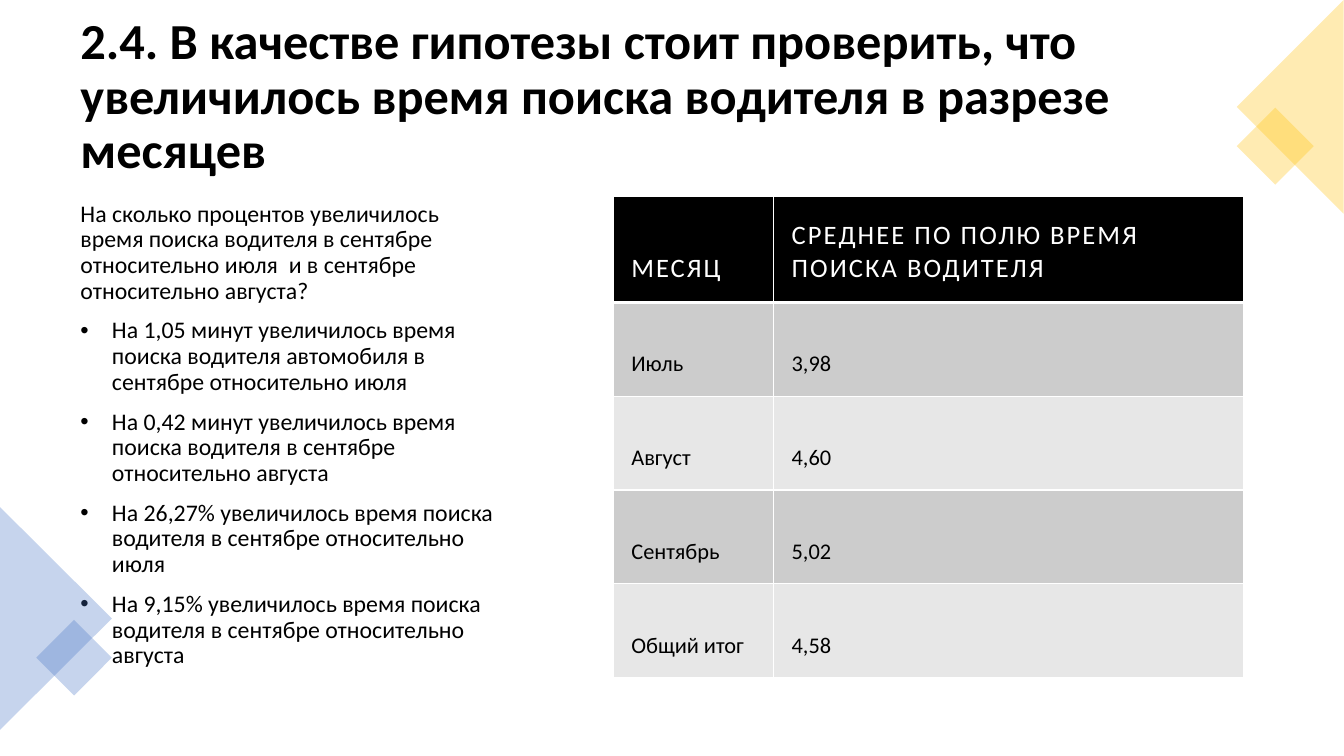
from dataclasses import dataclass
from lxml import etree
from pptx import Presentation
from pptx.dml.color import RGBColor
from pptx.enum.shapes import MSO_SHAPE
from pptx.enum.text import MSO_ANCHOR
from pptx.oxml.ns import qn
from pptx.util import Pt

TRI, RECT = MSO_SHAPE.ISOSCELES_TRIANGLE, MSO_SHAPE.RECTANGLE
TOP, MID, LOW = MSO_ANCHOR.TOP, MSO_ANCHOR.MIDDLE, MSO_ANCHOR.BOTTOM


@dataclass(frozen=True)
class Theme:
    font: str = "Calibri"
    ink: str = "000000"
    paper: str = "FFFFFF"
    blue: str = "4472C4"
    gold: str = "FFC000"
    bands: tuple = ("CCCCCC", "E7E7E7")
    title: float = 36
    body: float = 17
    head: float = 19
    cell: float = 16


class Deck:
    def __init__(self, theme):
        self.theme = theme
        self.prs = Presentation()
        self.prs.slide_width, self.prs.slide_height = Pt(960), Pt(540)
        self.slide = self.prs.slides.add_slide(self.prs.slide_layouts[6])

    def style(self, item, form):
        for name, value in form.items():
            setattr(item, name, value)

    def label(self, par, text, size, color, bold=False):
        run = par.add_run()
        run.text = text
        form = {"name": self.theme.font, "size": Pt(size), "bold": bold}
        self.style(run.font, form)
        run.font.color.rgb = RGBColor.from_string(color)
        return run

    def text(self, box, lines, size, anchor=TOP, bold=False):
        """Place paragraphs given as (text, has bullet) pairs."""
        frame = self.slide.shapes.add_textbox(*map(Pt, box)).text_frame
        self.style(frame, {"word_wrap": True, "vertical_anchor": anchor})
        for i, (line, dot) in enumerate(lines):
            par = frame.add_paragraph() if i else frame.paragraphs[0]
            gap = Pt(10 if i else 0)
            self.style(par, {"line_spacing": 0.9, "space_before": gap})
            self.label(par, line, size, self.theme.ink, bold)
            if dot:
                self.bullet(par)

    def bullet(self, par):
        props = par._p.get_or_add_pPr()
        props.set("marL", str(Pt(22.5)))
        props.set("indent", str(-Pt(22.5)))
        etree.SubElement(props, qn("a:buFont"), typeface="Arial")
        etree.SubElement(props, qn("a:buChar"), char="•")

    def shape(self, kind, box, turn, color):
        item = self.slide.shapes.add_shape(kind, *map(Pt, box))
        item.rotation = turn
        item.shadow.inherit = False
        item.line.fill.background()
        item.fill.solid()
        item.fill.fore_color.rgb = RGBColor.from_string(color)
        tone = item._element.spPr.find(".//" + qn("a:srgbClr"))
        etree.SubElement(tone, qn("a:alpha"), val="30000")

    def edges(self, cell, widths):
        props = cell._tc.get_or_add_tcPr()
        for i, (side, width) in enumerate(zip("LRTB", widths)):
            line = etree.Element(qn("a:ln" + side), w=str(Pt(width)))
            fill = etree.SubElement(line, qn("a:solidFill"))
            etree.SubElement(fill, qn("a:srgbClr"), val=self.theme.paper)
            props.insert(i, line)

    def table(self, spot, cols, rows, data):
        size = (sum(cols), sum(rows))
        frame = self.slide.shapes.add_table(
            len(rows), len(cols), *map(Pt, spot + size))
        grid = frame.table
        for col, width in zip(grid.columns, cols):
            col.width = Pt(width)
        for r, line in enumerate(data):
            grid.rows[r].height = Pt(rows[r])
            for c, value in enumerate(line):
                self.cell(grid.cell(r, c), value, r)

    def cell(self, cell, value, row):
        look = self.theme
        sides = ("left", "right", "top", "bottom")
        form = {"margin_" + side: Pt(13) for side in sides}
        self.style(cell, {**form, "vertical_anchor": LOW})
        fill = look.bands[(row - 1) % 2] if row else look.ink
        cell.fill.solid()
        cell.fill.fore_color.rgb = RGBColor.from_string(fill)
        # Heavy rule between the header and the first row
        self.edges(cell, (1, 1, 3 if row == 1 else 1, 1 if row else 3))
        par = cell.text_frame.paragraphs[0]
        if row:
            self.label(par, value, look.cell, look.ink)
        else:
            run = self.label(par, value, look.head, look.paper)
            run._r.get_or_add_rPr().set("spc", "150")


def main():
    look = Theme()
    deck = Deck(look)

    # Title
    title = ("2.4. В качестве гипотезы стоит проверить, что увеличилось "
             "время поиска водителя в разрезе месяцев")
    deck.text((50.4, 25.2, 859, 89.3), [(title, False)],
              look.title, MID, True)

    # Question and findings
    lines = [
        ("На сколько процентов увеличилось время поиска водителя в сентябре "
         "относительно июля  и в сентябре относительно августа?", False),
        ("На 1,05 минут увеличилось время поиска водителя автомобиля "
         "в сентябре относительно июля", True),
        ("На 0,42 минут увеличилось время поиска водителя "
         "в сентябре относительно августа", True),
        ("На 26,27% увеличилось время поиска водителя "
         "в сентябре относительно июля", True),
        ("На 9,15% увеличилось время поиска водителя "
         "в сентябре относительно августа", True),
    ]
    deck.text((50.4, 140.4, 315.4, 346.3), lines, look.body)

    # Corner ornaments
    deck.shape(TRI, (-39.6, 401.8, 159.1, 79.9), 90, look.blue)
    deck.shape(RECT, (33.8, 450.7, 38.2, 38.2), 45, look.blue)
    deck.shape(RECT, (891.4, 85, 38.9, 38.9), 45, look.gold)
    deck.shape(TRI, (845.3, 38.2, 152.6, 76.3), 270, look.gold)

    # Search time by month
    data = [
        ("МЕСЯЦ", "СРЕДНЕЕ ПО ПОЛЮ ВРЕМЯ ПОИСКА ВОДИТЕЛЯ"),
        ("Июль", "3,98"),
        ("Август", "4,60"),
        ("Сентябрь", "5,02"),
        ("Общий итог", "4,58"),
    ]
    deck.table((438, 140.4), (114.5, 335.5), (75.6,) + (67,) * 4, data)

    deck.prs.save("out.pptx")


if __name__ == "__main__":
    main()
